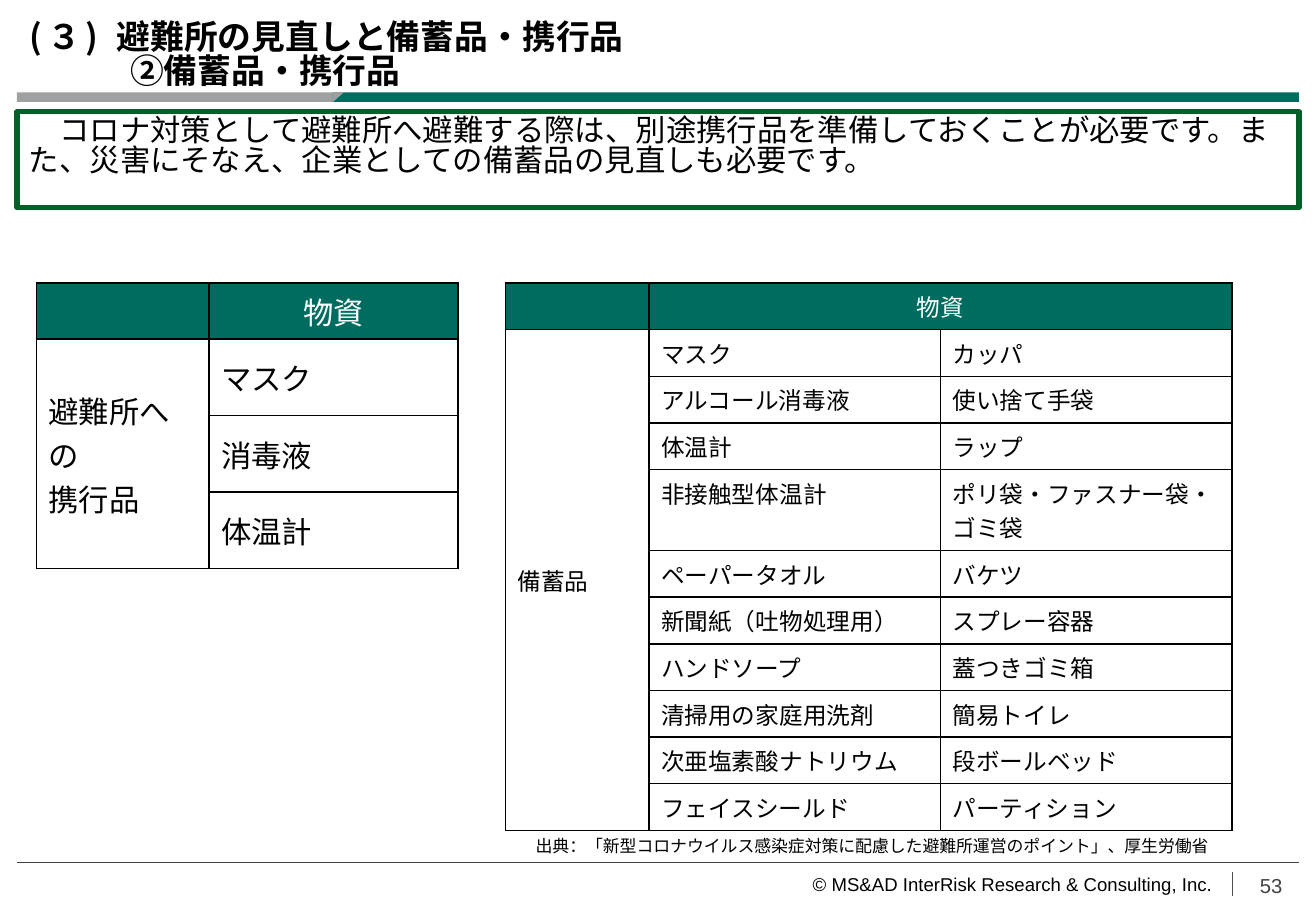
from dataclasses import dataclass

from lxml.etree import SubElement
from pptx import Presentation
from pptx.dml.color import RGBColor
from pptx.enum.shapes import MSO_CONNECTOR as CONN, MSO_SHAPE as SHAPE
from pptx.enum.text import MSO_ANCHOR as ANCHOR, MSO_AUTO_SIZE as AUTOSIZE, PP_ALIGN as ALIGN
from pptx.oxml.ns import qn
from pptx.util import Inches, Pt


@dataclass(frozen=True)
class Theme:
    green: str = "006C60"
    frame: str = "015F27"
    gray: str = "9EA0A1"
    dark: str = "414243"
    divider: str = "4C4C4C"
    black: str = "000000"
    white: str = "FFFFFF"
    body_font: str = "Noto Sans CJK JP"
    footer_font: str = "Arial"
    title: int = 20
    body: int = 18
    items: int = 14
    page: int = 12
    footer: int = 11
    source: int = 10


def rgb(value):
    return RGBColor.from_string(value)


def write(p, text, *, size, font, color, bold=False, align=ALIGN.LEFT,
          line_spacing=None, margin=0, indent=0, tracking=0):
    p.alignment = align
    if line_spacing:
        p.line_spacing = line_spacing
    if margin or indent:
        pPr = p._p.get_or_add_pPr()
        pPr.set("marL", str(Inches(margin)))
        pPr.set("indent", str(Inches(indent)))
    if not text:
        SubElement(p._p, qn("a:endParaRPr"), sz=str(size * 100))
        return
    r = p.add_run()
    r.text = text
    r.font.size = Pt(size)
    r.font.name = font
    r.font.bold = bold
    r.font.color.rgb = rgb(color)
    rPr = r._r.get_or_add_rPr()
    SubElement(rPr, qn("a:ea"), typeface=font)
    if tracking:
        rPr.set("spc", str(tracking * 100))


class SlideBuilder:
    def __init__(self, prs, theme):
        self.theme = theme
        self.slide = prs.slides.add_slide(prs.slide_layouts[5])
        self.shapes = self.slide.shapes

    def style(self, **changes):
        return dict(size=self.theme.body, font=self.theme.body_font,
                    color=self.theme.black) | changes

    def frame(self, tf, insets=(0.1, 0.05, 0.1, 0.05), anchor=ANCHOR.TOP):
        tf.word_wrap = True
        tf.auto_size = AUTOSIZE.NONE
        tf.vertical_anchor = anchor
        tf.margin_left, tf.margin_top, tf.margin_right, tf.margin_bottom = map(Inches, insets)
        return tf

    def title(self, box, number, heading, subheading):
        sp = self.shapes.title
        sp.left, sp.top, sp.width, sp.height = map(Inches, box)
        tf = self.frame(sp.text_frame, (0.1, 0.04, 0.1, 0.02), ANCHOR.BOTTOM)
        style = self.style(size=self.theme.title, bold=True, line_spacing=0.82)
        write(tf.paragraphs[0], number, tracking=3, **style)
        write(tf.paragraphs[0], heading, **style)
        write(tf.add_paragraph(), subheading, margin=0.83, **style)

    def shape(self, kind, box, fill=None, line=None, weight=0, flip=False):
        sp = self.shapes.add_shape(kind, *map(Inches, box))
        sp.shadow.inherit = False
        if fill:
            sp.fill.solid()
            sp.fill.fore_color.rgb = rgb(fill)
        else:
            sp.fill.background()
        if line:
            sp.line.color.rgb = rgb(line)
            sp.line.width = Pt(weight)
        else:
            sp.line.fill.background()
        if flip:
            sp._element.spPr.get_or_add_xfrm().set("flipV", "1")
        return sp

    def line(self, points, color, weight):
        cn = self.shapes.add_connector(CONN.STRAIGHT, *map(Inches, points))
        cn.line.color.rgb = rgb(color)
        cn.line.width = Pt(weight)
        SubElement(cn._element.spPr, qn("a:effectLst"))

    def text(self, box, text, insets=(0.1, 0.05, 0.1, 0.05), anchor=ANCHOR.TOP, **style):
        tf = self.frame(self.shapes.add_textbox(*map(Inches, box)).text_frame, insets, anchor)
        write(tf.paragraphs[0], text, **self.style(**style))

    def callout(self, box, text):
        sp = self.shape(SHAPE.RECTANGLE, box, line=self.theme.frame, weight=3)
        tf = self.frame(sp.text_frame)
        write(tf.paragraphs[0], text, **self.style(line_spacing=0.82, indent=0.25))

    def cell(self, cell, text, header, size, anchor):
        t = self.theme
        tcPr = cell._tc.get_or_add_tcPr()
        for edge in ("lnL", "lnR", "lnT", "lnB"):
            ln = SubElement(tcPr, qn(f"a:{edge}"), w=str(Pt(1)))
            SubElement(SubElement(ln, qn("a:solidFill")), qn("a:srgbClr"), val=t.black)
        if header:
            cell.fill.solid()
            cell.fill.fore_color.rgb = rgb(t.green)
        else:
            cell.fill.background()
        cell.vertical_anchor = anchor
        style = self.style(size=size, color=t.white if header else t.black,
                           align=ALIGN.CENTER if header else ALIGN.LEFT)
        tf = cell.text_frame
        for i, part in enumerate(text.split("\n")):
            write(tf.add_paragraph() if i else tf.paragraphs[0], part, **style)

    def supply_table(self, left, top, widths, heights, group, items, size, item_anchor):
        blanks = [""] * (len(widths) - 2)
        rows = [["", "物資", *blanks]]
        rows += [["" if i else group, *names] for i, names in enumerate(items)]
        row_heights = [heights[0]] + [heights[1]] * len(items)
        tbl = self.shapes.add_table(len(rows), len(widths), Inches(left), Inches(top),
                                    Inches(sum(widths)), Inches(sum(row_heights))).table
        tbl.first_row = tbl.horz_banding = False
        for col, width in zip(tbl.columns, widths):
            col.width = Inches(width)
        for row, height in zip(tbl.rows, row_heights):
            row.height = Inches(height)
        for i, texts in enumerate(rows):
            for j, text in enumerate(texts):
                anchor = ANCHOR.MIDDLE if i == 0 or j == 0 else item_anchor
                self.cell(tbl.cell(i, j), text, i == 0, size, anchor)
        if blanks:
            tbl.cell(0, 1).merge(tbl.cell(0, len(widths) - 1))
        tbl.cell(1, 0).merge(tbl.cell(len(items), 0))


CARRY_ITEMS = [("マスク",), ("消毒液",), ("体温計",)]
STOCK_ITEMS = [
    ("マスク", "カッパ"),
    ("アルコール消毒液", "使い捨て手袋"),
    ("体温計", "ラップ"),
    ("非接触型体温計", "ポリ袋・ファスナー袋・ゴミ袋"),
    ("ペーパータオル", "バケツ"),
    ("新聞紙（吐物処理用）", "スプレー容器"),
    ("ハンドソープ", "蓋つきゴミ箱"),
    ("清掃用の家庭用洗剤", "簡易トイレ"),
    ("次亜塩素酸ナトリウム", "段ボールベッド"),
    ("フェイスシールド", "パーティション"),
]


def main():
    prs = Presentation()
    prs.slide_width, prs.slide_height = Inches(10.83), Inches(7.5)
    t = Theme()
    s = SlideBuilder(prs, t)

    s.shape(SHAPE.RECTANGLE, (0.14, 0.76, 2.6, 0.08), t.gray)
    s.shape(SHAPE.RECTANGLE, (2.74, 0.76, 7.95, 0.08), t.green)
    s.shape(SHAPE.RIGHT_TRIANGLE, (2.74, 0.76, 0.09, 0.08), t.gray, flip=True)
    s.line((0.14, 7.1, 10.69, 7.1), t.dark, 1)
    s.text((6.44, 7.19, 3.54, 0.18), "© MS&AD InterRisk Research & Consulting, Inc.",
           insets=(0, 0, 0, 0), anchor=ANCHOR.BOTTOM, align=ALIGN.RIGHT,
           size=t.footer, font=t.footer_font)
    s.line((10.14, 7.38, 10.14, 7.18), t.divider, 0.75)

    s.title((0.14, 0.13, 10.55, 0.63), "(３) ", "避難所の見直しと備蓄品・携行品", "②備蓄品・携行品")
    s.callout((0.14, 0.92, 10.55, 0.79),
              "コロナ対策として避難所へ避難する際は、別途携行品を準備しておくことが必要です。"
              "また、災害にそなえ、企業としての備蓄品の見直しも必要です。")
    s.supply_table(0.3, 2.33, (1.42, 2.05), (0.31, 0.63), "避難所への\n携行品",
                   CARRY_ITEMS, t.body, ANCHOR.MIDDLE)
    s.supply_table(4.16, 2.33, (1.18, 2.4, 2.4), (0.31, 0.24), "備蓄品",
                   STOCK_ITEMS, t.items, ANCHOR.TOP)
    s.text((4.31, 6.83, 6.38, 0.27),
           "出典：「新型コロナウイルス感染症対策に配慮した避難所運営のポイント」、厚生労働省",
           size=t.source)
    s.text((10.27, 7.14, 0.51, 0.31), "53", size=t.page, font=t.footer_font, color=t.dark)
    prs.save("out.pptx")


if __name__ == "__main__":
    main()
